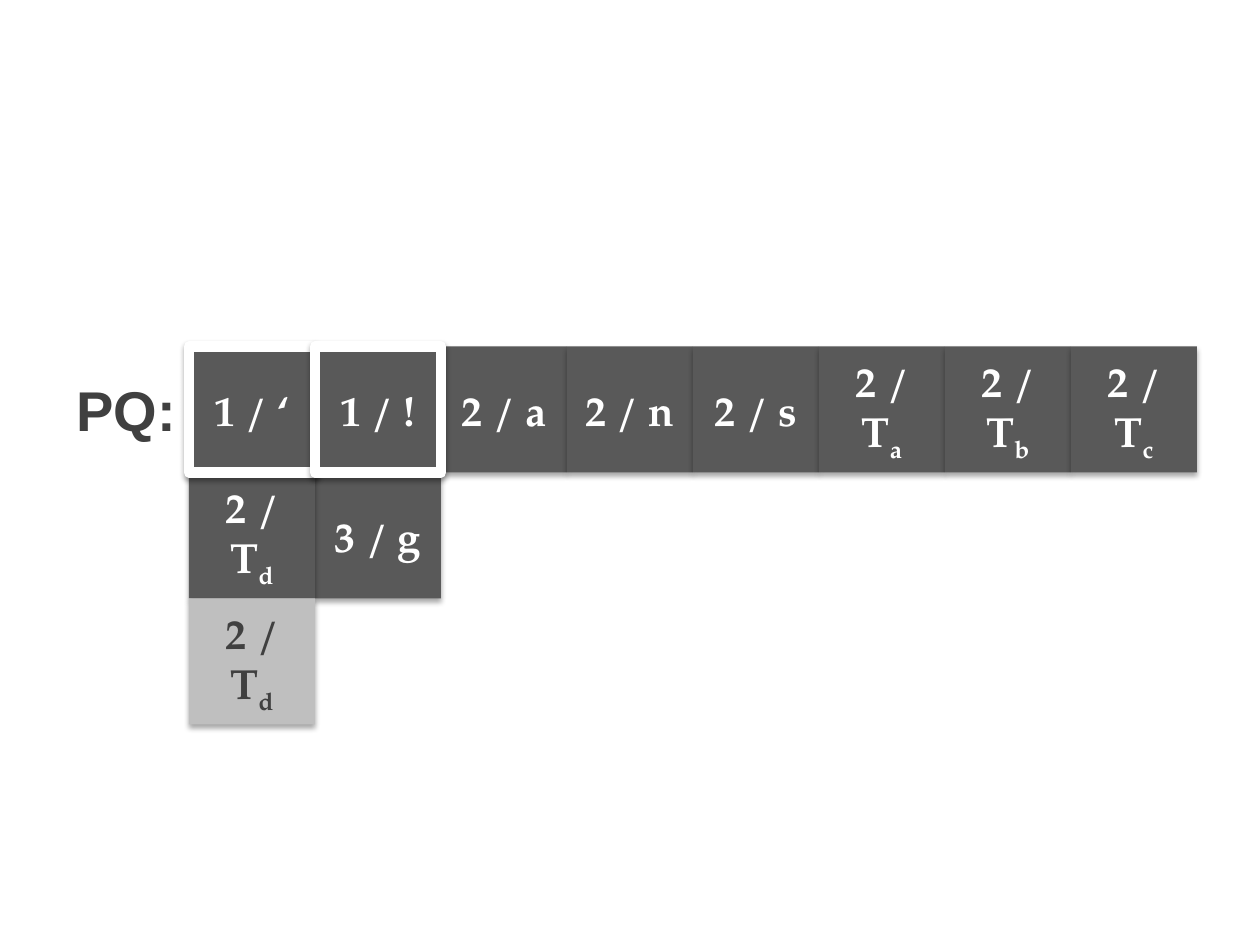
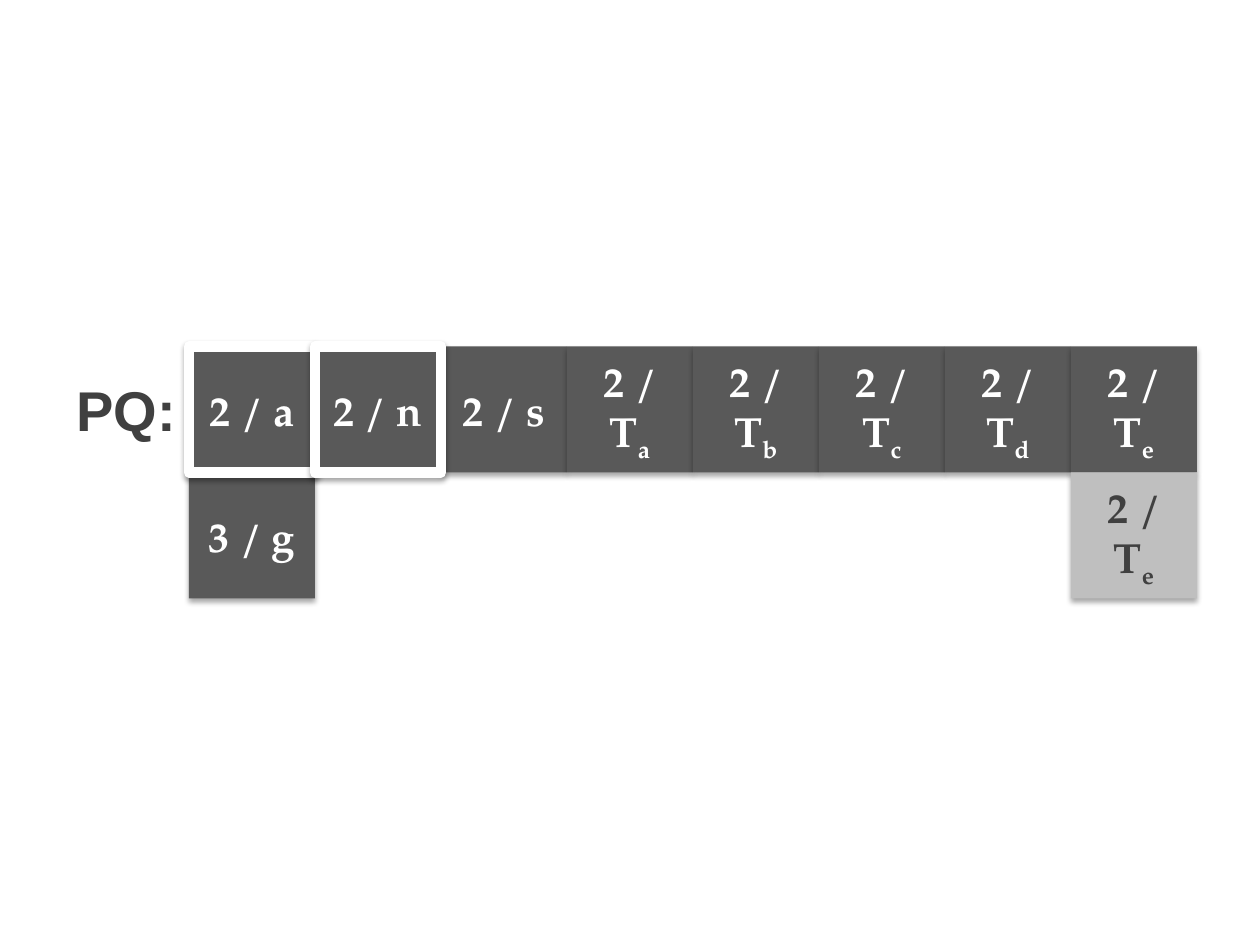
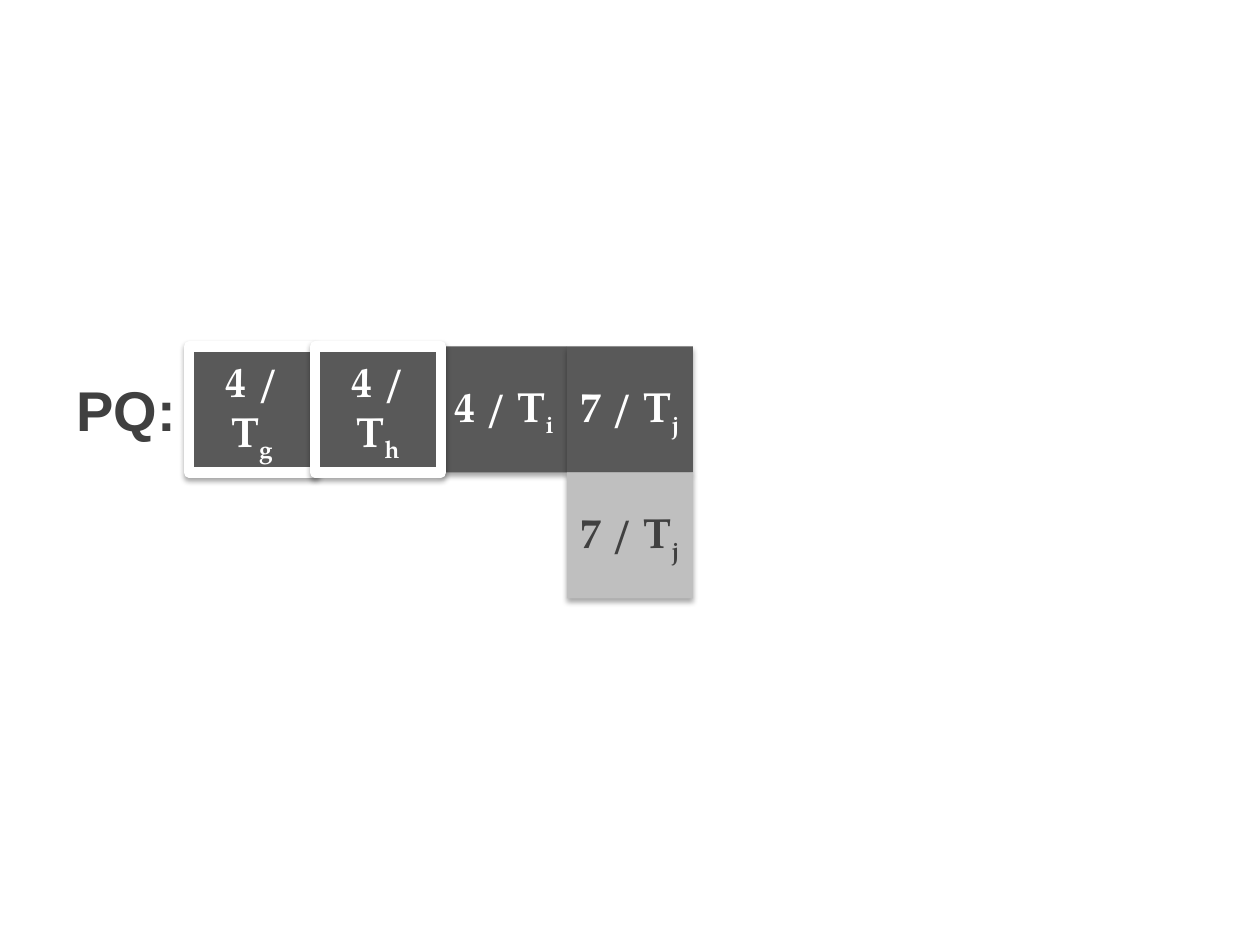
from pptx import Presentation
from pptx.dml.color import RGBColor
from pptx.enum.shapes import MSO_SHAPE
from pptx.enum.text import MSO_ANCHOR, PP_ALIGN
from pptx.oxml import parse_xml
from pptx.oxml.ns import nsdecls, qn
from pptx.util import Inches, Pt

RECTANGLE = MSO_SHAPE.RECTANGLE
MIDDLE = MSO_ANCHOR.MIDDLE
CENTER = PP_ALIGN.CENTER

COLORS = {"queued": "595959", "new": "BFBFBF", "dark": "404040", "white": "FFFFFF"}
LABEL_FONT = "Arial"
CELL_FONT = "TeX Gyre Pagella"

# Grid of queue cells: origin and cell side in inches
GRID_LEFT, GRID_TOP, CELL = 1.5, 2.75, 1

SHADOW = (
    f'<a:outerShdw {nsdecls("a")} blurRad="40000" dist="23000" dir="5400000" rotWithShape="0">'
    '<a:srgbClr val="000000"><a:alpha val="35000"/></a:srgbClr></a:outerShdw>'
)

# Each cell: column, row, text, subscript, kind ("queued", "next" to be merged, "new")
QUEUES = [
    [
        (2, 0, "2 / a", "", "queued"),
        (1, 1, "3 / g", "", "queued"),
        (3, 0, "2 / n", "", "queued"),
        (4, 0, "2 / s", "", "queued"),
        (5, 0, "2 / T", "a", "queued"),
        (6, 0, "2 / T", "b", "queued"),
        (7, 0, "2 / T", "c", "queued"),
        (0, 1, "2 / T", "d", "queued"),
        (0, 0, "1 / ‘", "", "next"),
        (1, 0, "1 / !", "", "next"),
        (0, 2, "2 / T", "d", "new"),
    ],
    [
        (0, 1, "3 / g", "", "queued"),
        (2, 0, "2 / s", "", "queued"),
        (3, 0, "2 / T", "a", "queued"),
        (4, 0, "2 / T", "b", "queued"),
        (5, 0, "2 / T", "c", "queued"),
        (6, 0, "2 / T", "d", "queued"),
        (7, 0, "2 / T", "e", "queued"),
        (0, 0, "2 / a", "", "next"),
        (1, 0, "2 / n", "", "next"),
        (7, 1, "2 / T", "e", "new"),
    ],
    [
        (2, 0, "4 / T", "i", "queued"),
        (3, 0, "7 / T", "j", "queued"),
        (0, 0, "4 / T", "g", "next"),
        (1, 0, "4 / T", "h", "next"),
        (3, 1, "7 / T", "j", "new"),
    ],
]


def write_text(box, text, subscript, font_name, size, color):
    """Write bold centred text, with an optional subscript, into a box."""
    frame = box.text_frame
    frame.word_wrap = True
    frame.vertical_anchor = MIDDLE
    para = frame.paragraphs[0]
    para.alignment = CENTER
    for part in filter(None, (text, subscript)):
        span = para.add_run()
        span.text = part
        span.font.name = font_name
        span.font.size = Pt(size)
        span.font.bold = True
        span.font.color.rgb = RGBColor.from_string(COLORS[color])
    if subscript:
        span.font._element.set("baseline", "-25000")


def add_cell(page, column, row, text, subscript, kind):
    """Add one queue cell at its place in the grid."""
    cell = page.shapes.add_shape(
        RECTANGLE,
        Inches(GRID_LEFT + column * CELL), Inches(GRID_TOP + row * CELL),
        Inches(CELL), Inches(CELL),
    )
    cell.fill.solid()
    cell.fill.fore_color.rgb = RGBColor.from_string(COLORS["new" if kind == "new" else "queued"])
    if kind == "next":
        cell.line.color.rgb = RGBColor.from_string(COLORS["white"])
        cell.line.width = Pt(6)
    else:
        cell.line.fill.background()
    cell.shadow.inherit = False
    cell.element.spPr.find(qn("a:effectLst")).append(parse_xml(SHADOW))
    write_text(cell, text, subscript, CELL_FONT, 24, "dark" if kind == "new" else "white")


deck = Presentation()
deck.slide_width = Inches(10)
deck.slide_height = Inches(7.5)
blank_layout = deck.slide_layouts[6]

for queue in QUEUES:
    page = deck.slides.add_slide(blank_layout)

    # Queue label, one cell to the left of the grid
    label = page.shapes.add_textbox(
        Inches(GRID_LEFT - CELL), Inches(GRID_TOP), Inches(CELL), Inches(CELL)
    )
    write_text(label, "PQ:", "", LABEL_FONT, 32, "dark")

    # Queue cells, from back to front
    for queue_cell in queue:
        add_cell(page, *queue_cell)

deck.save("out.pptx")
